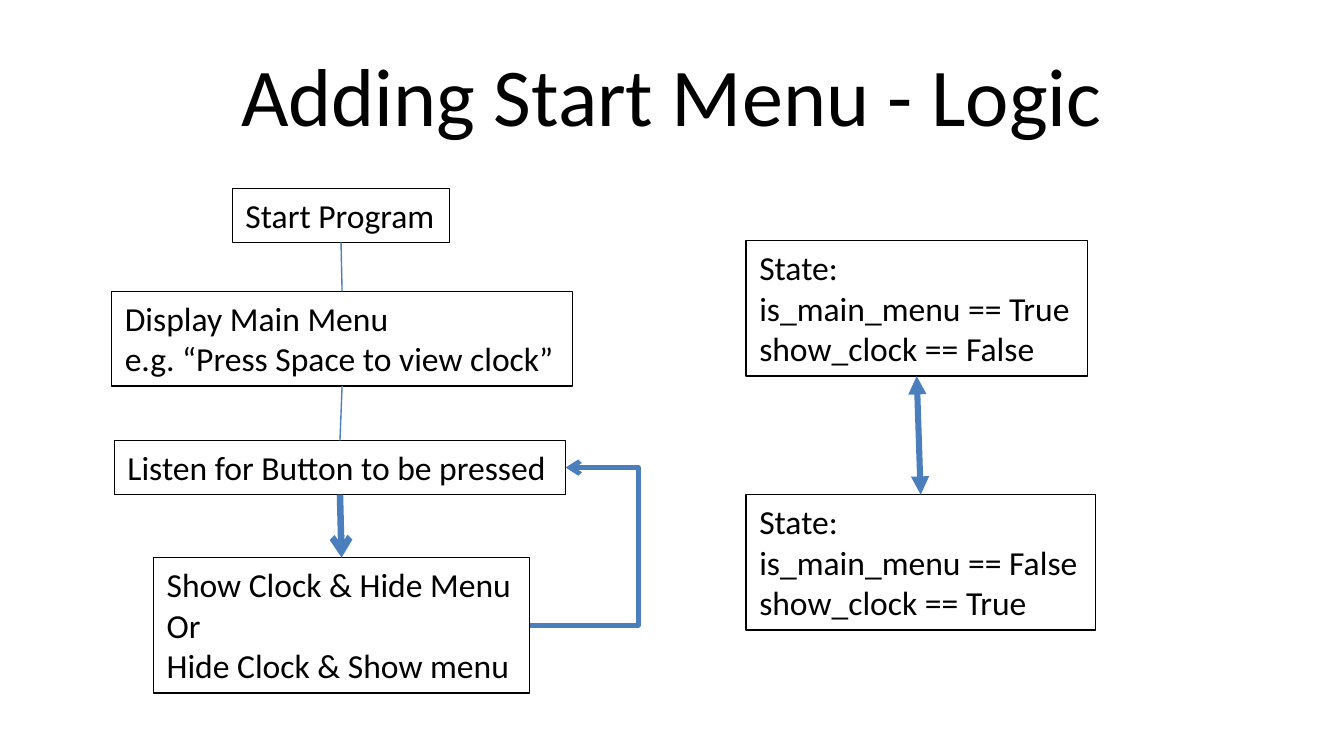
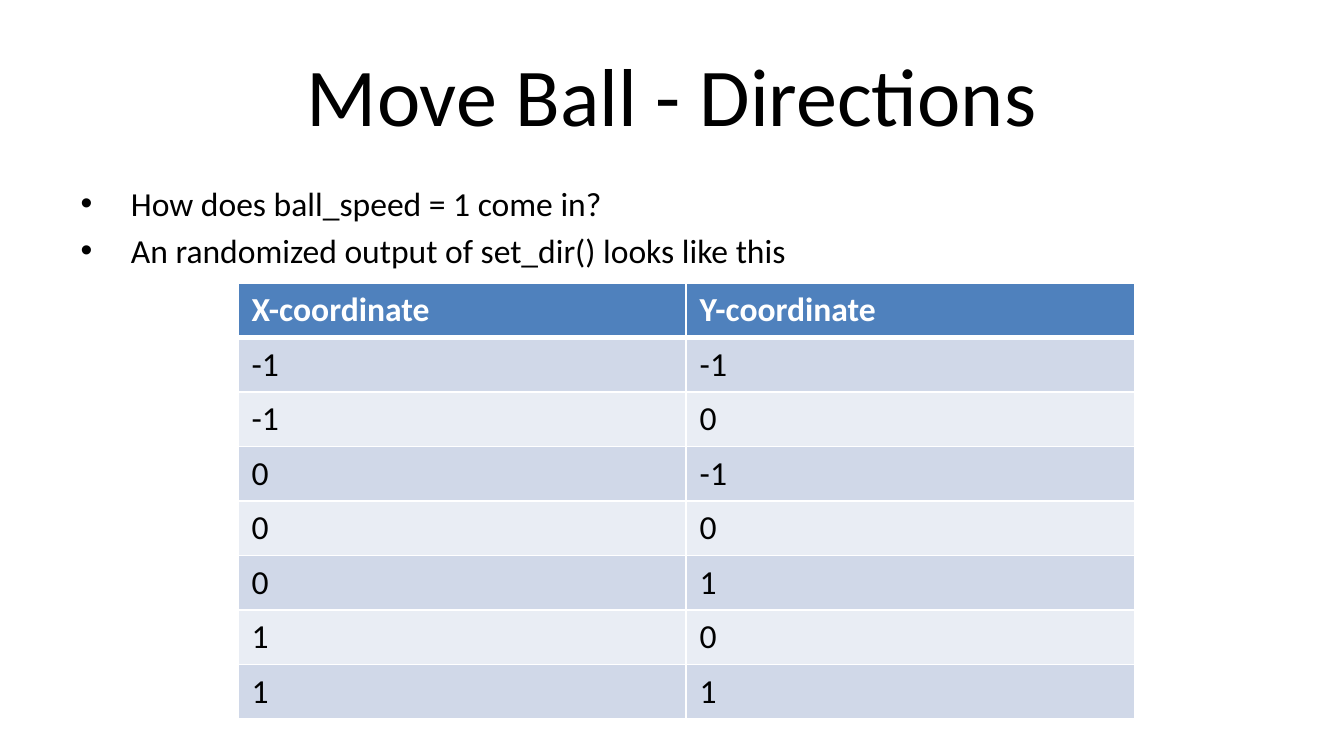
from dataclasses import dataclass

import pptx
import pptx.dml.color
import pptx.enum.shapes
import pptx.enum.text
import pptx.oxml
import pptx.oxml.ns
import pptx.presentation
import pptx.shapes.autoshape
import pptx.shapes.connector
import pptx.slide
import pptx.table
import pptx.text.text
import pptx.util
from lxml import etree
from pptx.util import Cm, Pt

RGBColor = pptx.dml.color.RGBColor
CONNECTOR = pptx.enum.shapes.MSO_CONNECTOR
ALIGN = pptx.enum.text.PP_ALIGN
qn = pptx.oxml.ns.qn

# Shared style
FONT = "Calibri"
TEXT_SIZE = 18
TITLE_SIZE = 44
BLACK = RGBColor(0x00, 0x00, 0x00)
WHITE = RGBColor(0xFF, 0xFF, 0xFF)
ARROW_BLUE = RGBColor(0x4B, 0x7E, 0xBC)
HEADER_BLUE = RGBColor(0x4F, 0x81, 0xBD)
BAND_DARK = RGBColor(0xD0, 0xD8, 0xE8)
BAND_LIGHT = RGBColor(0xE9, 0xED, 0xF4)

MARGIN = 1.27
CONTENT_WIDTH = 22.86
TITLE_ONLY, TITLE_AND_CONTENT = 5, 1

# Connection sites of a rectangle
TOP, BOTTOM, RIGHT = 0, 2, 3


@dataclass(frozen=True)
class Step:
    """A bordered box of the flow chart; lengths in centimetres."""
    left: float
    top: float
    width: float
    text: str

    @property
    def height(self) -> float:
        lines = len(self.text.replace("\v", "\n").split("\n"))
        return 0.25 + 0.77 * lines


@dataclass(frozen=True)
class Link:
    """A connector between two steps, named by their keys."""
    start: str
    end: str
    weight: float = 0.75
    head: str = ""
    tail: str = ""
    start_site: int = BOTTOM
    end_site: int = TOP
    bend: int = 0  # thousandths of a percent of the width; 0 is straight


STEPS = {
    "start": Step(4.39, 3.56, 4.11, "Start Program"),
    "display": Step(2.11, 5.51, 8.71, "Display Main Menu\ve.g. “Press Space to view clock”"),
    "listen": Step(2.16, 8.33, 8.53, "Listen for Button to be pressed"),
    "toggle": Step(2.9, 10.54, 7.11, "Show Clock & Hide Menu\nOr\nHide Clock & Show menu"),
    "menu state": Step(14.1, 4.55, 6.45, "State:\vis_main_menu == True\vshow_clock == False"),
    "clock state": Step(14.1, 9.35, 6.6, "State:\vis_main_menu == False\vshow_clock == True"),
}

LINKS = [
    Link("display", "listen"),
    Link("start", "display"),
    Link("menu state", "clock state", 3.25, head="triangle", tail="triangle"),
    Link("toggle", "listen", 2.5, tail="arrow", start_site=RIGHT, end_site=RIGHT, bend=302200),
    Link("listen", "toggle", 3.5, tail="arrow"),
]

QUESTIONS = [
    "How does ball_speed = 1 come in?",
    "An randomized output of set_dir() looks like this",
]

DIRECTIONS = [
    ("X-coordinate", "Y-coordinate"),
    (-1, -1), (-1, 0), (0, -1), (0, 0), (0, 1), (1, 0), (1, 1),
]


def style_text(frame: pptx.text.text.TextFrame, size: float = TEXT_SIZE,
               color: RGBColor = BLACK, bold: bool = False,
               align: ALIGN = ALIGN.LEFT) -> None:
    for paragraph in frame.paragraphs:
        paragraph.alignment = align
        paragraph.font.name = FONT
        paragraph.font.size = Pt(size)
        paragraph.font.bold = bold
        paragraph.font.color.rgb = color


def add_titled_slide(deck: pptx.presentation.Presentation, layout: int,
                     heading: str) -> pptx.slide.Slide:
    slide = deck.slides.add_slide(deck.slide_layouts[layout])
    title = slide.shapes.title
    title.left, title.top = Cm(MARGIN), Cm(0.58)
    title.width, title.height = Cm(CONTENT_WIDTH), Cm(2.38)
    title.text_frame.text = heading
    title.text_frame.vertical_anchor = pptx.enum.text.MSO_ANCHOR.MIDDLE
    style_text(title.text_frame, TITLE_SIZE, align=ALIGN.CENTER)
    return slide


def add_step(slide: pptx.slide.Slide, step: Step) -> pptx.shapes.autoshape.Shape:
    box = slide.shapes.add_textbox(Cm(step.left), Cm(step.top), Cm(step.width), Cm(step.height))
    box.line.color.rgb = BLACK
    box.line.width = Pt(0.75)
    frame = box.text_frame
    frame.text = step.text
    frame.word_wrap = False
    frame.auto_size = pptx.enum.text.MSO_AUTO_SIZE.SHAPE_TO_FIT_TEXT
    style_text(frame)
    return box


def add_link(slide: pptx.slide.Slide, link: Link,
             boxes: dict[str, pptx.shapes.autoshape.Shape]) -> None:
    kind = CONNECTOR.ELBOW if link.bend else CONNECTOR.STRAIGHT
    arrow = slide.shapes.add_connector(kind, 0, 0, 0, 0)
    arrow.begin_connect(boxes[link.start], link.start_site)
    arrow.end_connect(boxes[link.end], link.end_site)
    arrow.line.color.rgb = ARROW_BLUE
    arrow.line.width = Pt(link.weight)
    properties = arrow._element.spPr
    line = properties.find(qn("a:ln"))
    for tag, ending in (("a:headEnd", link.head), ("a:tailEnd", link.tail)):
        if ending:
            etree.SubElement(line, qn(tag), type=ending)
    if link.bend:
        adjustments = properties.find(qn("a:prstGeom")).get_or_add_avLst()
        etree.SubElement(adjustments, qn("a:gd"), name="adj1", fmla=f"val {link.bend}")
    etree.SubElement(properties, qn("a:effectLst"))


def set_borders(cell: pptx.table._Cell, top: float, bottom: float) -> None:
    properties = cell._tc.get_or_add_tcPr()
    weights = {"a:lnL": 1, "a:lnR": 1, "a:lnT": top, "a:lnB": bottom}
    for position, (tag, weight) in enumerate(weights.items()):
        border = etree.Element(qn(tag), w=str(Pt(weight)))
        fill = etree.SubElement(border, qn("a:solidFill"))
        etree.SubElement(fill, qn("a:srgbClr"), val=str(WHITE))
        properties.insert(position, border)


def add_directions(slide: pptx.slide.Slide) -> None:
    rows, columns = len(DIRECTIONS), len(DIRECTIONS[0])
    table = slide.shapes.add_table(rows, columns, Cm(4.5), Cm(5.35),
                                   Cm(8.47 * columns), Cm(1.03 * rows)).table
    for r, values in enumerate(DIRECTIONS):
        is_header = r == 0
        band = HEADER_BLUE if is_header else BAND_DARK if r % 2 else BAND_LIGHT
        for c, value in enumerate(values):
            cell = table.cell(r, c)
            cell.text = str(value)
            cell.fill.solid()
            cell.fill.fore_color.rgb = band
            style_text(cell.text_frame, color=WHITE if is_header else BLACK, bold=is_header)
            set_borders(cell, top=3 if r == 1 else 1, bottom=3 if is_header else 1)


def add_questions(slide: pptx.slide.Slide) -> None:
    body = slide.placeholders[1]
    body.left, body.top = Cm(MARGIN), Cm(3.33)
    body.width, body.height = Cm(CONTENT_WIDTH), Cm(9.42)
    body.text_frame.text = "\n".join(QUESTIONS)
    style_text(body.text_frame)
    for paragraph in body.text_frame.paragraphs:
        properties = paragraph._p.get_or_add_pPr()
        properties.set("marL", str(Cm(0.95)))
        properties.set("indent", str(-Cm(0.95)))


def build_logic_slide(deck: pptx.presentation.Presentation) -> None:
    slide = add_titled_slide(deck, TITLE_ONLY, "Adding Start Menu - Logic")
    boxes = {key: add_step(slide, step) for key, step in STEPS.items()}
    for link in LINKS:
        add_link(slide, link, boxes)


def build_directions_slide(deck: pptx.presentation.Presentation) -> None:
    slide = add_titled_slide(deck, TITLE_AND_CONTENT, "Move Ball - Directions")
    add_questions(slide)
    add_directions(slide)


def main() -> None:
    deck = pptx.Presentation()
    deck.slide_width, deck.slide_height = Cm(25.4), Cm(14.29)
    build_logic_slide(deck)
    build_directions_slide(deck)
    deck.save("out.pptx")


if __name__ == "__main__":
    main()
